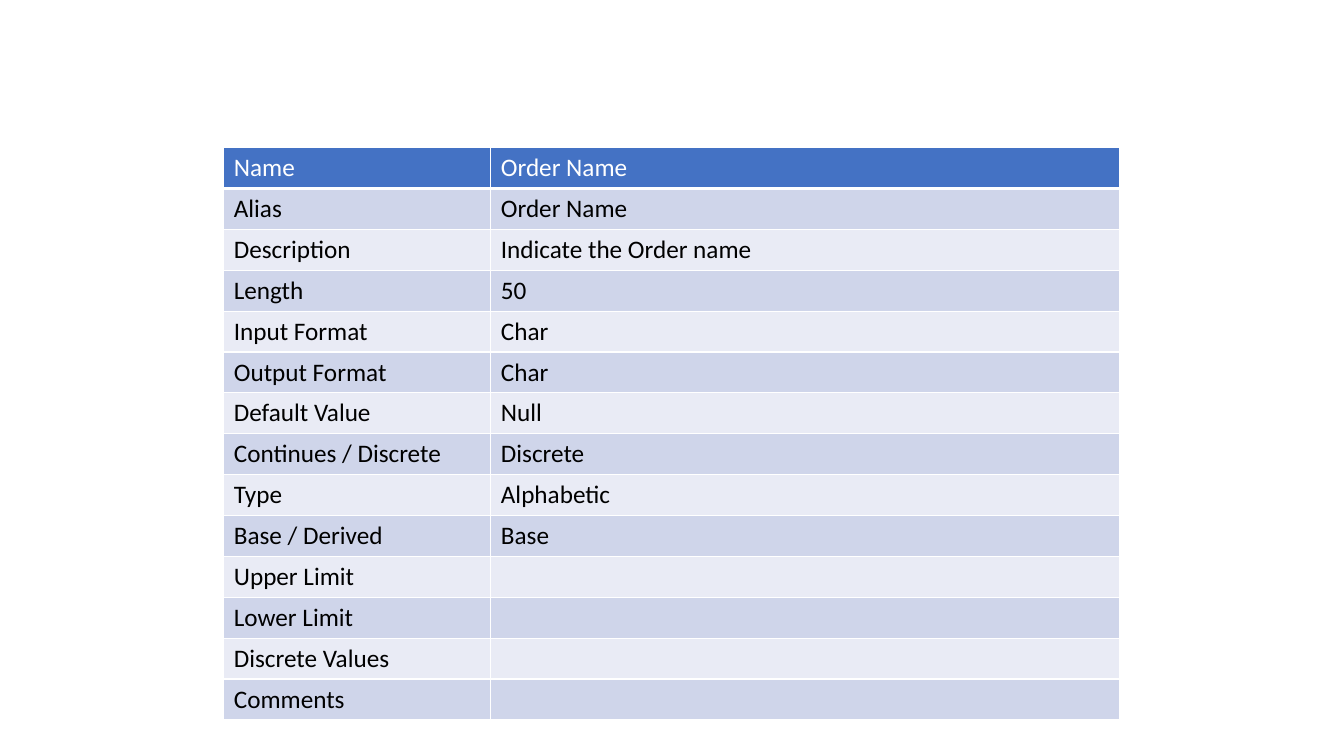
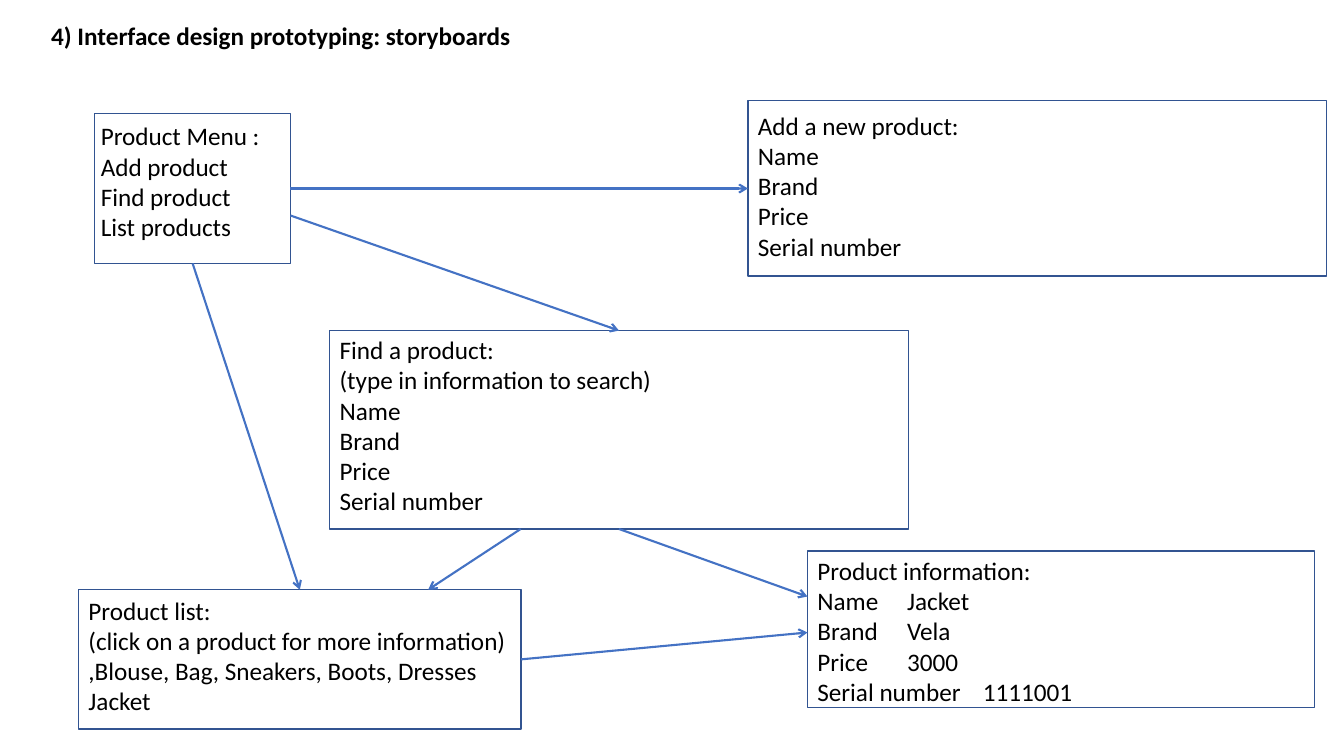
from lxml import etree
from pptx import Presentation
from pptx.dml.color import RGBColor
from pptx.enum.shapes import MSO_CONNECTOR, MSO_SHAPE
from pptx.enum.text import MSO_ANCHOR, PP_ALIGN
from pptx.oxml.ns import qn
from pptx.util import Cm, Pt

FONT = "Calibri"
COLORS = {
    "white": "FFFFFF",
    "black": "000000",
    "accent": "4472C4",
    "edge": "325491",
    "dark band": "CFD5EA",
    "light band": "E9EBF5",
}
TOP, LEFT, BOTTOM, RIGHT = range(4)

FIELDS = [
    ("Name", "Order Name"),
    ("Alias", "Order Name"),
    ("Description", "Indicate the Order name"),
    ("Length", "50"),
    ("Input Format", "Char"),
    ("Output Format", "Char"),
    ("Default Value", "Null"),
    ("Continues / Discrete", "Discrete"),
    ("Type", "Alphabetic"),
    ("Base / Derived", "Base"),
    ("Upper Limit", ""),
    ("Lower Limit", ""),
    ("Discrete Values", ""),
    ("Comments", ""),
]

# name: (left, top, width, height), (left inset, top inset), lines
SCREENS = {
    "menu": ((2.39, 2.86, 4.93, 3.78), (0.15, 0.18),
             ["Product Menu :", "Add product", "Find product", "List products"]),
    "add": ((18.85, 2.54, 14.58, 4.42), (0.25, 0.23),
            ["Add a new product:", "Name", "Brand", "Price", "Serial number"]),
    "find": ((8.31, 8.33, 14.58, 5), (0.25, 0.1),
             ["Find a product:", "(type in information to search)",
              "Name", "Brand", "Price", "Serial number"]),
    "list": ((1.98, 14.86, 11.15, 3.51), (0.25, 0.13),
             ["Product list:", "(click on a product for more information)",
              ",Blouse, Bag, Sneakers, Boots, Dresses", "Jacket"]),
    "info": ((20.35, 13.89, 12.78, 3.94), (0.25, 0.1),
             ["Product information:", "Name\tJacket", "Brand\tVela",
              "Price\t3000", "Serial number\t1111001"]),
}

# Each end: screen, side, share of the way along that side
LINKS = [
    (("menu", RIGHT, 0.5), ("add", LEFT, 0.5)),
    (("menu", BOTTOM, 0.5), ("list", TOP, 0.5)),
    (("menu", RIGHT, 0.68), ("find", TOP, 0.5)),
    (("list", RIGHT, 0.5), ("info", LEFT, 0.52)),
    (("find", BOTTOM, 0.5), ("info", LEFT, 0.29)),
    (("find", BOTTOM, 0.33), ("list", TOP, 0.79)),
]


def color(name):
    return RGBColor.from_string(COLORS[name])


def style(para, ink="black", bold=False):
    para.alignment = PP_ALIGN.LEFT
    font = para.font
    font.name, font.size, font.bold = FONT, Pt(18), bold
    font.color.rgb = color(ink)


def tab(para, stop):
    tabs = etree.SubElement(para._p.get_or_add_pPr(), qn("a:tabLst"))
    etree.SubElement(tabs, qn("a:tab"), pos=str(Cm(stop)), algn="l")


def border(cell, bottom):
    """Draw white cell borders, the lower one with its own width in points."""
    props = cell._tc.get_or_add_tcPr()
    for i, (side, width) in enumerate(zip("LRTB", (1, 1, 1, bottom))):
        line = etree.Element(qn(f"a:ln{side}"), w=str(Pt(width)))
        fill = etree.SubElement(line, qn("a:solidFill"))
        etree.SubElement(fill, qn("a:srgbClr"), val=COLORS["white"])
        props.insert(i, line)


def add_fields(slide, box):
    left, top, width, height = map(Cm, box)
    table = slide.shapes.add_table(
        len(FIELDS), 2, left, top, width, height).table
    table.columns[0].width = Cm(6.73)
    table.columns[1].width = width - Cm(6.73)
    for r, row in enumerate(FIELDS):
        band = "accent" if r == 0 else "dark band" if r % 2 else "light band"
        for c, text in enumerate(row):
            cell = table.cell(r, c)
            cell.text = text
            cell.fill.solid()
            cell.fill.fore_color.rgb = color(band)
            border(cell, 1 if r else 3)
            style(cell.text_frame.paragraphs[0], "black" if r else "white")


def add_title(slide, box, text):
    frame = slide.shapes.add_textbox(*map(Cm, box)).text_frame
    frame.word_wrap = True
    frame.text = text
    style(frame.paragraphs[0], bold=True)


def add_screen(slide, box, inset, lines):
    shape = slide.shapes.add_shape(MSO_SHAPE.RECTANGLE, *map(Cm, box))
    shape.shadow.inherit = False
    shape.fill.solid()
    shape.fill.fore_color.rgb = color("white")
    shape.line.color.rgb = color("edge")
    shape.line.width = Pt(1)
    frame = shape.text_frame
    frame.word_wrap = True
    frame.vertical_anchor = MSO_ANCHOR.TOP
    frame.margin_left, frame.margin_top = map(Cm, inset)
    frame.margin_right = frame.margin_bottom = 0
    frame.text = "\n".join(lines)
    for para, line in zip(frame.paragraphs, lines):
        if "\t" in line:
            tab(para, 4.17 if line.startswith("Serial") else 2.26)
        style(para)
    return shape


def spot(shape, side, share):
    """Return the point at a share of the way along one side."""
    if side in (TOP, BOTTOM):
        return (shape.left + int(shape.width * share),
                shape.top + (shape.height if side == BOTTOM else 0))
    return (shape.left + (shape.width if side == RIGHT else 0),
            shape.top + int(shape.height * share))


def add_link(slide, start, end):
    link = slide.shapes.add_connector(
        MSO_CONNECTOR.STRAIGHT, *spot(*start), *spot(*end))
    for join, (shape, side, share) in ((link.begin_connect, start),
                                       (link.end_connect, end)):
        if share == 0.5:
            join(shape, side)
    link.line.color.rgb = color("accent")
    link.line.width = Pt(1.5)
    etree.SubElement(link.line._get_or_add_ln(), qn("a:tailEnd"), type="arrow")
    etree.SubElement(link._element.spPr, qn("a:effectLst"))


def add_story(slide):
    shapes = {name: add_screen(slide, *parts)
              for name, parts in SCREENS.items()}
    for ends in LINKS:
        add_link(slide, *((shapes[name], side, share)
                          for name, side, share in ends))


def main():
    deck = Presentation()
    deck.slide_width, deck.slide_height = Cm(33.87), Cm(19.05)
    blank = deck.slide_layouts[6]
    add_fields(deck.slides.add_slide(blank), (5.64, 3.72, 22.58, 14.42))
    slide = deck.slides.add_slide(blank)
    add_title(slide, (1.04, 0.38, 16.94, 1.03),
              "4) Interface design prototyping: storyboards")
    add_story(slide)
    deck.save("out.pptx")


if __name__ == "__main__":
    main()
